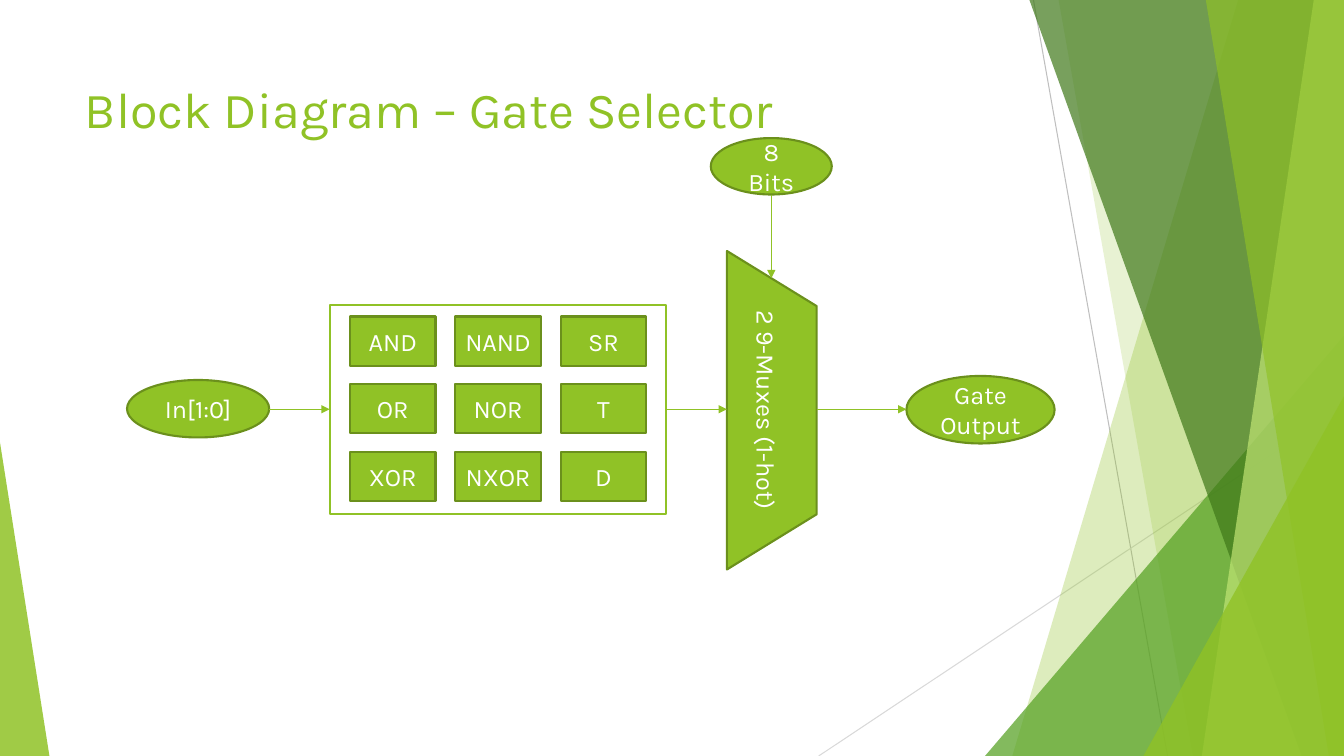
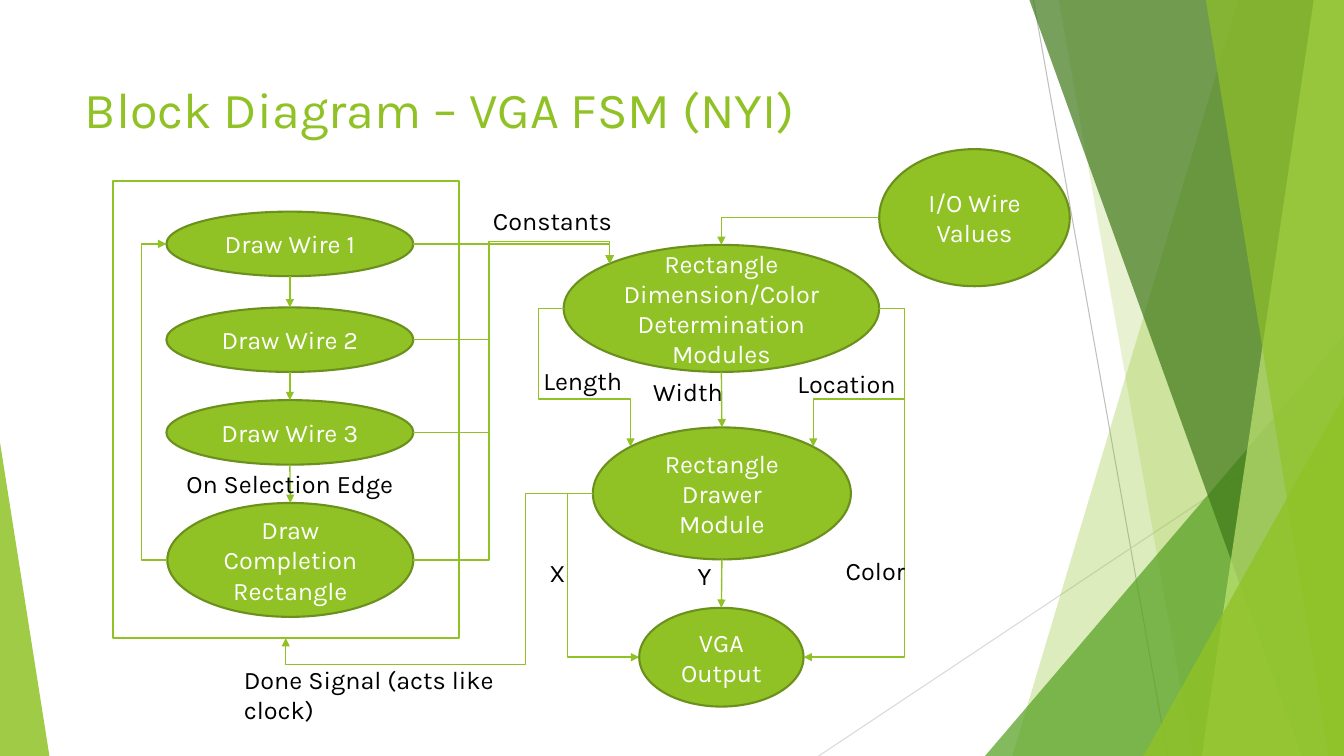
import collections
import lxml.etree
import pptx
import pptx.dml.color
import pptx.enum.shapes
import pptx.enum.text
import pptx.oxml.ns
import pptx.util

COLS, ROWS = 13.33, 7.5
CELL = pptx.util.Inches(1)
FONT = "Karla"
COLORS = {
    "lime": "90C226", "edge": "6B901C", "leaf": "54A021", "forest": "3F7819",
    "pale": "C0E474", "grey": "BFBFBF", "mist": "D9D9D9", "white": "FFFFFF", "black": "000000",
}
SIDES = {
    "top": (0.5, 0), "top left": (0.146, 0.146), "left": (0, 0.5),
    "bottom left": (0.146, 0.854), "bottom": (0.5, 1), "bottom right": (0.854, 0.854),
    "right": (1, 0.5), "top right": (0.854, 0.146),
}
SHAPE = pptx.enum.shapes.MSO_SHAPE
CONNECTOR = pptx.enum.shapes.MSO_CONNECTOR
ALIGN = pptx.enum.text.PP_ALIGN
ANCHOR = pptx.enum.text.MSO_ANCHOR
Box = collections.namedtuple("Box", "x y w h")
qn = pptx.oxml.ns.qn


def rgb(name):
    """Return the named colour."""
    return pptx.dml.color.RGBColor.from_string(COLORS[name])


def emu(cells):
    """Turn grid cells into slide units."""
    return round(cells * CELL)


def inside(box, x, y, w, h):
    """Return a box whose corner is offset from that of another box."""
    return Box(box.x + x, box.y + y, w, h)


def write(tf, text, size=18, color="white", align=ALIGN.CENTER, anchor=ANCHOR.MIDDLE):
    """Fill a text frame with one formatted paragraph."""
    tf.word_wrap = True
    tf.vertical_anchor = anchor
    p = tf.paragraphs[0]
    p.alignment = align
    r = p.add_run()
    r.text = text
    r.font.name = FONT
    r.font.size = pptx.util.Pt(size)
    r.font.color.rgb = rgb(color)


def paint(sp, fill=None, alpha=100, line=None):
    """Set fill, opacity and outline of a shape."""
    sp.shadow.inherit = False
    if fill:
        sp.fill.solid()
        sp.fill.fore_color.rgb = rgb(fill)
        if alpha < 100:
            clr = sp.element.spPr.find(".//" + qn("a:srgbClr"))
            lxml.etree.SubElement(clr, qn("a:alpha")).set("val", str(alpha * 1000))
    else:
        sp.fill.background()
    if line:
        sp.line.color.rgb = rgb(line)
        sp.line.width = pptx.util.Pt(1.5)
    else:
        sp.line.fill.background()


def preset(s, kind, box):
    """Add a preset shape that fills a box."""
    return s.shapes.add_shape(kind, *map(emu, box))


def block(s, box, text, kind=SHAPE.OVAL):
    """Add a filled diagram block with its text."""
    sp = preset(s, kind, box)
    paint(sp, "lime", line="edge")
    write(sp.text_frame, text)
    return sp


def frame(s, box):
    """Add an unfilled frame."""
    sp = preset(s, SHAPE.RECTANGLE, box)
    paint(sp, line="lime")
    return sp


def label(s, box, x, y, w, text):
    """Add a black label offset from the corner of a box."""
    sp = s.shapes.add_textbox(*map(emu, inside(box, x, y, w, 0.4)))
    write(sp.text_frame, text, color="black", align=ALIGN.LEFT, anchor=ANCHOR.TOP)


def line(s, start, end, kind=CONNECTOR.STRAIGHT, color="lime", width=1.0, arrow=True):
    """Add a connector between two points in slide units."""
    cxn = s.shapes.add_connector(kind, *start, *end)
    cxn.line.color.rgb = rgb(color)
    cxn.line.width = pptx.util.Pt(width)
    sppr = cxn.element.spPr
    if arrow:
        lxml.etree.SubElement(sppr.find(qn("a:ln")), qn("a:tailEnd")).set("type", "triangle")
    lxml.etree.SubElement(sppr, qn("a:effectLst"))
    return cxn


def arrow(s, start, end):
    """Add a straight arrow between two grid points."""
    return line(s, tuple(map(emu, start)), tuple(map(emu, end)))


def site(sp, side):
    """Return the point at one side of a shape."""
    fx, fy = SIDES[side]
    return round(sp.left + fx * sp.width), round(sp.top + fy * sp.height)


def glue(cxn, tag, sp, side):
    """Attach one end of a connector to a side of a shape."""
    idx = list(SIDES).index(side)
    if sp.auto_shape_type == SHAPE.RECTANGLE:
        idx //= 2
    tie = lxml.etree.SubElement(cxn.element.find(".//" + qn("p:cNvCxnSpPr")), qn(tag))
    tie.set("id", str(sp.shape_id))
    tie.set("idx", str(idx))


def link(s, a, side_a, b, side_b, via=None):
    """Join two shapes; via holds the x and y of the bends, None means straight."""
    start, end = site(a, side_a), site(b, side_b)
    kind = CONNECTOR.STRAIGHT if via is None else CONNECTOR.ELBOW
    cxn = line(s, start, end, kind)
    if via is not None:
        geom = cxn.element.spPr.find(qn("a:prstGeom"))
        geom.set("prst", f"bentConnector{len(via) + 2}")
        av = geom.find(qn("a:avLst"))
        for i, (bend, p0, p1) in enumerate(zip(via, start, end), 1):
            gd = lxml.etree.SubElement(av, qn("a:gd"))
            gd.set("name", f"adj{i}")
            gd.set("fmla", f"val {round((emu(bend) - p0) / (p1 - p0) * 100000)}")
    glue(cxn, "a:stCxn", a, side_a)
    glue(cxn, "a:endCxn", b, side_b)


def band(s, top, bottom, color, alpha):
    """Add a slanted band that reaches the right edge."""
    points = [(top, 0), (COLS, 0), (COLS, ROWS), (bottom, ROWS)]
    points = [tuple(map(emu, point)) for point in points]
    fb = s.shapes.build_freeform(*points[0])
    fb.add_line_segments(points[1:])
    paint(fb.convert_to_shape(), color, alpha)


def wedge(s, x, y, w, tip, color, alpha):
    """Add a triangle that stands on the bottom edge."""
    sp = preset(s, SHAPE.ISOSCELES_TRIANGLE, Box(x, y, w, ROWS - y))
    sp.adjustments[0] = tip
    paint(sp, color, alpha)


def decorate(prs, s):
    """Draw the shared bands and move them to the slide master."""
    first = len(s.shapes)
    for start, end, color in (
        ((10.25, 0), (11.58, ROWS), "grey"),
        ((COLS, 4.03), (8.12, ROWS), "mist"),
    ):
        line(s, tuple(map(emu, start)), tuple(map(emu, end)), color=color, width=0.75, arrow=False)
    band(s, 12.28, 10.04, "lime", 30)
    band(s, 10.5, 11.83, "lime", 20)
    wedge(s, 9.77, 3.33, 3.56, 1, "leaf", 72)
    band(s, 10.21, 12.91, "forest", 70)
    band(s, 13.03, 11.92, "pale", 70)
    band(s, 11.96, 13.18, "lime", 65)
    wedge(s, 11.34, 3.93, 1.99, 1, "lime", 80)
    wedge(s, 0, 4.39, 0.49, 0, "lime", 85)
    tree = prs.slide_master.shapes.element
    for i, sp in enumerate(list(s.shapes)[first:]):
        sp.element.find(".//" + qn("p:cNvPr")).set("id", str(100 + i))
        tree.insert(2 + i, sp.element)


def titled(prs, layout, text):
    """Add a slide with its title."""
    s = prs.slides.add_slide(layout)
    write(s.shapes.title.text_frame, text, size=36, color="lime", align=ALIGN.LEFT)
    return s


def gate_grid(s, box):
    """Draw the framed three by three grid of gates."""
    sp = frame(s, box)
    gates = (("AND", "NAND", "SR"), ("OR", "NOR", "T"), ("XOR", "NXOR", "D"))
    for row, names in enumerate(gates):
        for col, name in enumerate(names):
            cell = inside(box, 0.2 + 1.045 * col, 0.11 + 0.67 * row, 0.85, 0.49)
            block(s, cell, name, SHAPE.RECTANGLE)
    return sp


def mux(s, box, text):
    """Draw a trapezoid turned a quarter so that it fills an upright box."""
    turned = inside(box, (box.w - box.h) / 2, (box.h - box.w) / 2, box.h, box.w)
    sp = block(s, turned, text, SHAPE.TRAPEZOID)
    sp.adjustments[0] = 0.615
    sp.rotation = 90


def gate_selector(s, box):
    """Draw the flow from the input through gates and mux to the output."""
    mid = box.y + 2.69
    selector = inside(box, 5.95, 1.12, 0.89, 3.16)
    gates = gate_grid(s, inside(box, 2.01, 1.66, 3.34, 2.07))
    mux(s, selector, "2 9-Muxes (1-hot)")
    block(s, inside(box, 0, 2.4, 1.41, 0.57), "In[1:0]")
    block(s, inside(box, 7.73, 2.36, 1.47, 0.67), "Gate Output")
    block(s, inside(box, 5.79, 0, 1.2, 0.56), "8 Bits")
    arrow(s, (box.x + 1.41, mid), (box.x + 2.01, mid))
    arrow(s, (box.x + 5.35, mid), (selector.x, mid))
    arrow(s, (selector.x + selector.w, mid), (box.x + 7.73, mid))
    arrow(s, (box.x + 6.39, box.y + 0.56), (box.x + 6.39, box.y + 1.39))


def wire_states(s, box):
    """Draw the framed column of drawing states."""
    outer = frame(s, box)
    states = [
        block(s, inside(box, 0.53, y, 2.45, 0.64), f"Draw Wire {n}")
        for n, y in enumerate((0.3, 1.25, 2.17), 1)
    ]
    states.append(block(s, inside(box, 0.54, 3.19, 2.44, 1.13), "Draw Completion Rectangle"))
    for upper, lower in zip(states, states[1:]):
        link(s, upper, "bottom", lower, "top")
    link(s, states[-1], "left", states[0], "left", (box.x + 0.28,))
    label(s, box, 0.63, 2.8, 2.34, "On Selection Edge")
    label(s, box, 1.2, 4.74, 3.38, "Done Signal (acts like clock)")
    return outer, states


def drawing_modules(s, box):
    """Draw the modules that turn values into output."""
    dims = block(s, inside(box, 0.3, 0.95, 3.13, 1.26),
                 "Rectangle Dimension/Color Determination Modules")
    drawer = block(s, inside(box, 0.59, 2.76, 2.56, 1.31), "Rectangle Drawer Module")
    output = block(s, inside(box, 1.05, 4.55, 1.63, 0.98), "VGA Output")
    values = block(s, inside(box, 3.43, 0, 1.89, 1.36), "I/O Wire Values")
    near, far, turn = box.x + 0.05, box.x + 3.68, box.y + 2.48
    link(s, values, "left", dims, "top", ())
    link(s, dims, "bottom", drawer, "top")
    link(s, dims, "left", drawer, "top left", (near, turn))
    link(s, dims, "right", drawer, "top right", (far, turn))
    link(s, dims, "right", output, "right", (far,))
    link(s, drawer, "left", output, "left", (box.x + 0.34,))
    link(s, drawer, "bottom", output, "top")
    for x, y, w, text in (
        (-0.5, 0.51, 1.39, "Constants"), (0, 2.1, 1.26, "Length"),
        (1.09, 2.2, 1.26, "Width"), (2.52, 2.12, 1.26, "Location"),
        (0.06, 4, 0.94, "X"), (1.53, 4.03, 0.94, "Y"), (3, 3.98, 1.26, "Color"),
    ):
        label(s, box, x, y, w, text)
    return dims, drawer


def vga_machine(s, box):
    """Draw the states, the modules and the wires between them."""
    outer, states = wire_states(s, inside(box, 0, 0.32, 3.43, 4.53))
    dims, drawer = drawing_modules(s, inside(box, 4.17, 0, 5.32, 5.53))
    bus, top = box.x + 3.73, box.y + 0.94
    link(s, states[0], "right", dims, "top left", ())
    for state in states[1:-1]:
        link(s, state, "right", dims, "top left", (bus, top))
    link(s, states[-1], "right", dims, "top left", (bus, top - 0.02))
    link(s, drawer, "left", outer, "bottom", (box.x + 4.09, box.y + 5.11))


def main():
    """Build and save the slides."""
    prs = pptx.Presentation()
    prs.slide_width, prs.slide_height = emu(COLS), emu(ROWS)
    layout = prs.slide_layouts[5]
    title = layout.placeholders[0]
    title.left, title.top, title.width, title.height = map(emu, (0.74, 0.67, 9.4, 0.81))
    s = titled(prs, layout, "Block Diagram – Gate Selector")
    decorate(prs, s)
    gate_selector(s, Box(1.26, 1.37, 9.2, 4.28))
    s = titled(prs, layout, "Block Diagram – VGA FSM (NYI)")
    vga_machine(s, Box(1.12, 1.48, 9.49, 5.53))
    prs.save("out.pptx")


main()
